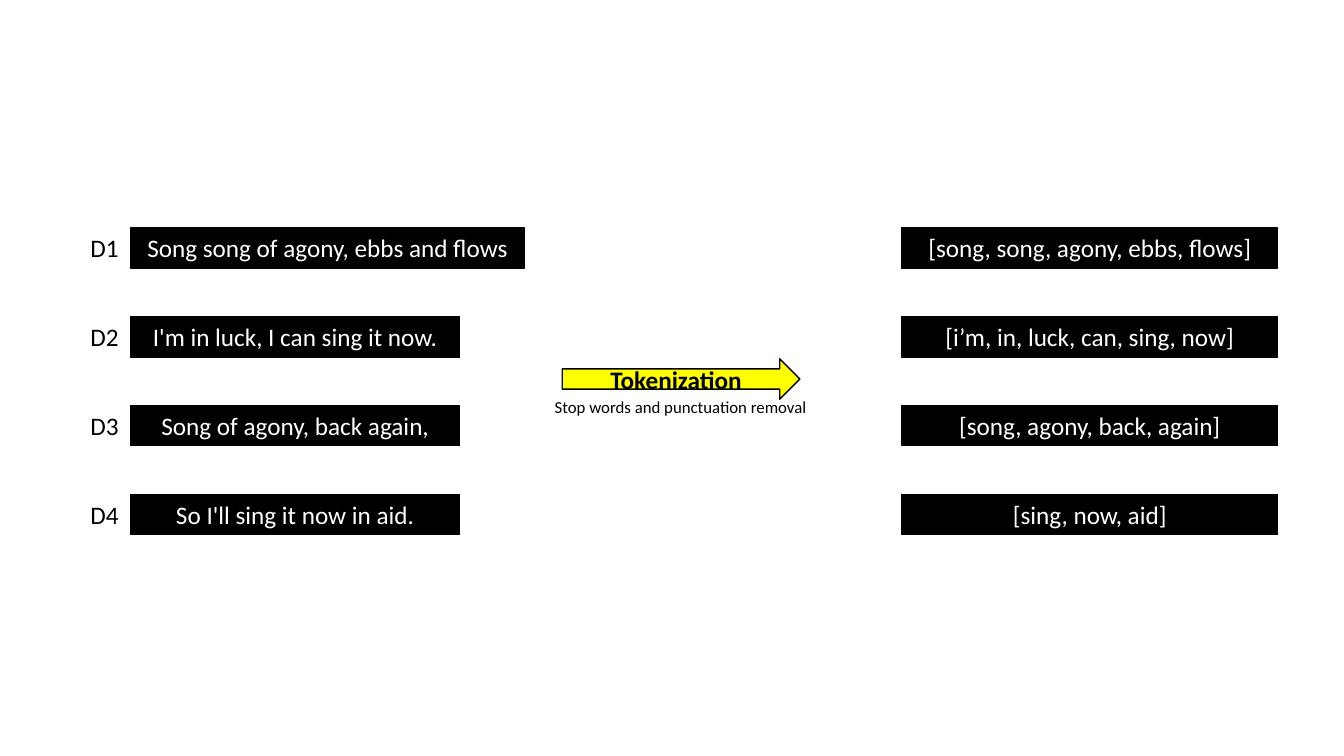
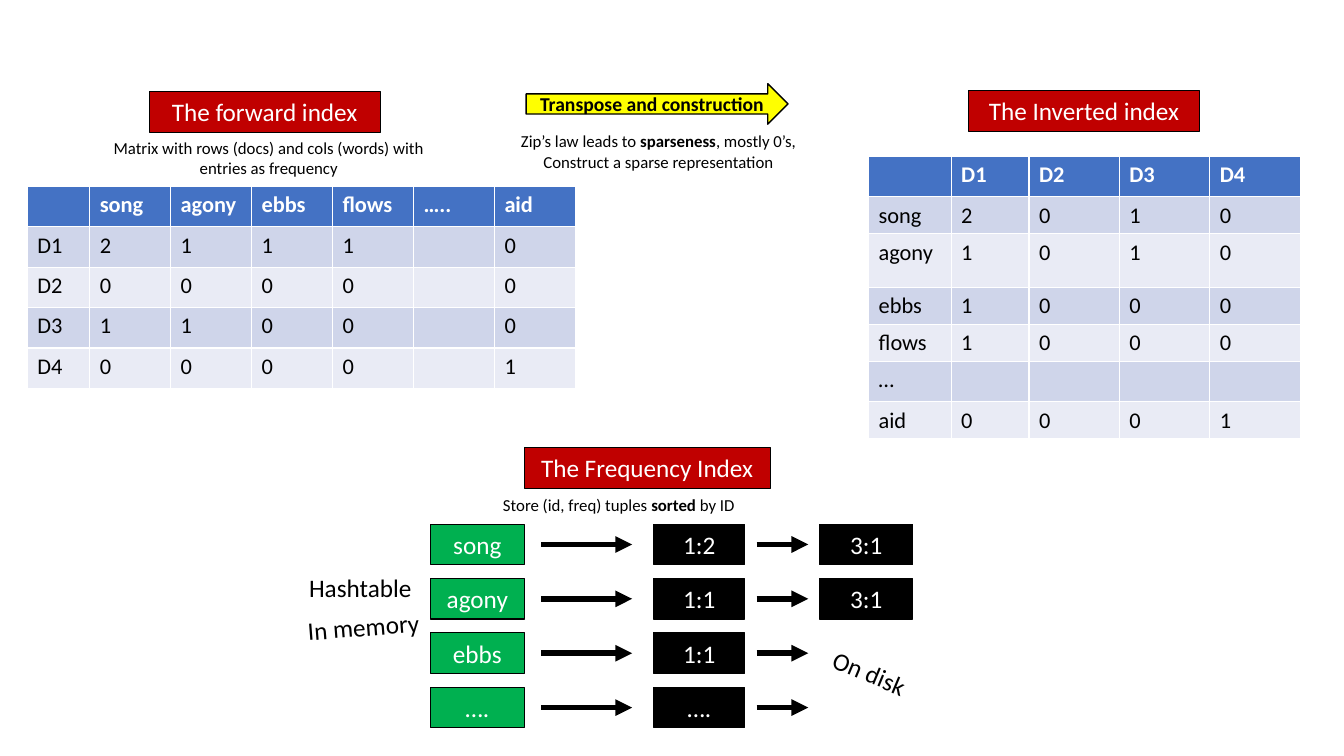
from pptx import Presentation
from pptx.dml.color import RGBColor
from pptx.enum.shapes import MSO_CONNECTOR, MSO_SHAPE
from pptx.enum.text import MSO_ANCHOR, MSO_AUTO_SIZE, PP_ALIGN
from pptx.oxml.ns import qn
from pptx.util import Cm, Pt
from lxml import etree

RECTANGLE = MSO_SHAPE.RECTANGLE
RIGHT_ARROW = MSO_SHAPE.RIGHT_ARROW
STRAIGHT = MSO_CONNECTOR.STRAIGHT
TOP = MSO_ANCHOR.TOP
MIDDLE = MSO_ANCHOR.MIDDLE
LEFT = PP_ALIGN.LEFT
CENTER = PP_ALIGN.CENTER
FIT_SHAPE = MSO_AUTO_SIZE.SHAPE_TO_FIT_TEXT

FONT = "Calibri"
BOX_HEIGHT = 1.02
ROW_HEIGHT = 0.93
COLORS = {
    "black": "000000",
    "white": "FFFFFF",
    "heading": "C00000",
    "step": "FFFF00",
    "term": "00B050",
    "table_header": "4472C4",
    "odd_row": "CFD5EA",
    "even_row": "E9EBF5",
}

DOCUMENTS = [
    ("D1", "Song song of agony, ebbs and flows", 9.91, "[song, song, agony, ebbs, flows]"),
    ("D2", "I'm in luck, I can sing it now.", 8.28, "[i’m, in, luck, can, sing, now]"),
    ("D3", "Song of agony, back again,", 8.28, "[song, agony, back, again]"),
    ("D4", "So I'll sing it now in aid.", 8.28, "[sing, now, aid]"),
]
FORWARD_ROWS = [
    ["", "song", "agony", "ebbs", "flows", "…..", "aid"],
    ["D1", "2", "1", "1", "1", "", "0"],
    ["D2", "0", "0", "0", "0", "", "0"],
    ["D3", "1", "1", "0", "0", "", "0"],
    ["D4", "0", "0", "0", "0", "", "1"],
]
INVERTED_ROWS = [
    ["", "D1", "D2", "D3", "D4"],
    ["song", "2", "0", "1", "0"],
    ["agony", "1", "0", "1", "0"],
    ["ebbs", "1", "0", "0", "0"],
    ["flows", "1", "0", "0", "0"],
    ["…", "", "", "", ""],
    ["aid", "0", "0", "0", "1"],
]
POSTINGS = [("song", "1:2", "3:1"), ("agony", "1:1", "3:1"), ("ebbs", "1:1", ""), ("….", "….", "")]


def color(name):
    return RGBColor.from_string(COLORS[name])


def write_text(frame, text, size=18, font_color="black", bold=False, align=LEFT):
    frame.word_wrap = True
    for line_index, line in enumerate(text.split("\n")):
        paragraph = frame.add_paragraph() if line_index else frame.paragraphs[0]
        paragraph.alignment = align
        for run_index, piece in enumerate(line.split("*")):
            run = paragraph.add_run()
            run.text = piece
            run.font.name = FONT
            run.font.size = Pt(size)
            run.font.bold = bold or run_index % 2 == 1
            run.font.color.rgb = color(font_color)


def add_label(slide, text, left, top, width, height=BOX_HEIGHT, rotation=0, **text_format):
    label = slide.shapes.add_textbox(Cm(left), Cm(top), Cm(width), Cm(height))
    label.rotation = rotation
    write_text(label.text_frame, text, **text_format)
    label.text_frame.auto_size = FIT_SHAPE


def add_note(slide, text, left, top, width, height):
    add_label(slide, text, left, top, width, height, size=12, align=CENTER)


def add_filled_shape(slide, kind, text, left, top, width, fill, line_width, **text_format):
    shape = slide.shapes.add_shape(kind, Cm(left), Cm(top), Cm(width), Cm(BOX_HEIGHT))
    shape.shadow.inherit = False
    shape.fill.solid()
    shape.fill.fore_color.rgb = color(fill)
    shape.line.color.rgb = color("black")
    shape.line.width = Pt(line_width)
    write_text(shape.text_frame, text, align=CENTER, **text_format)
    return shape


def add_box(slide, text, left, top, width, fill="black"):
    box = add_filled_shape(slide, RECTANGLE, text, left, top, width, fill, 0.75, font_color="white")
    box.text_frame.vertical_anchor = TOP
    box.text_frame.auto_size = FIT_SHAPE


def add_step(slide, text, left, top, width, size):
    step = add_filled_shape(slide, RIGHT_ARROW, text, left, top, width, "step", 1, size=size, bold=True)
    step.text_frame.vertical_anchor = MIDDLE


def add_arrow(slide, start, end, height):
    arrow = slide.shapes.add_connector(STRAIGHT, Cm(start), Cm(height), Cm(end), Cm(height))
    arrow.line.color.rgb = color("black")
    arrow.line.width = Pt(4)
    etree.SubElement(arrow.line._get_or_add_ln(), qn("a:tailEnd"), type="triangle")
    etree.SubElement(arrow._element.spPr, qn("a:effectLst"))


def add_index_table(slide, rows, left, top, widths, heights):
    frame = slide.shapes.add_table(
        len(rows), len(widths), Cm(left), Cm(top), Cm(sum(widths)), Cm(sum(heights))
    )
    table = frame.table
    for column, width in zip(table.columns, widths):
        column.width = Cm(width)
    for row_index, (values, height) in enumerate(zip(rows, heights)):
        table.rows[row_index].height = Cm(height)
        is_header = row_index == 0
        fill = "table_header" if is_header else ("even_row", "odd_row")[row_index % 2]
        for column_index, value in enumerate(values):
            cell = table.cell(row_index, column_index)
            cell.fill.solid()
            cell.fill.fore_color.rgb = color(fill)
            write_text(
                cell.text_frame, value, size=16, bold=is_header,
                font_color="white" if is_header else "black",
            )


def add_documents(slide, left, top, pitch):
    for index, (name, sentence, width, tokens) in enumerate(DOCUMENTS):
        row_top = top + index * pitch
        add_label(slide, name, left, row_top, 1.3)
        add_box(slide, sentence, left + 1.27, row_top, width)
        add_box(slide, tokens, left + 20.7, row_top, 9.47)


def add_forward_index(slide, left, top):
    add_box(slide, "The forward index", left + 3.07, top, 5.82, "heading")
    note = "Matrix with rows (docs) and cols (words) with\nentries as frequency"
    add_note(slide, note, left + 1.49, top + 1.04, 9.19, 1.27)
    heights = [ROW_HEIGHT] * len(FORWARD_ROWS)
    add_index_table(slide, FORWARD_ROWS, left, top + 2.39, [1.57] + [2.04] * 6, heights)


def add_inverted_index(slide, left, top):
    add_box(slide, "The Inverted index", left + 2.52, top, 5.82, "heading")
    heights = [ROW_HEIGHT] * len(INVERTED_ROWS)
    heights[2] = 1.35
    add_index_table(slide, INVERTED_ROWS, left, top + 1.65, [2.08, 1.96] + [2.28] * 3, heights)


def add_frequency_index(slide, left, top, pitch):
    add_box(slide, "The Frequency Index", left + 5.71, top, 6.2, "heading")
    add_note(slide, "Store (id, freq) tuples *sorted* by ID", left + 3.88, top + 1.06, 8.43, 0.76)
    for index, (term, first, second) in enumerate(POSTINGS):
        row_top = top + 1.93 + index * pitch
        row_middle = row_top + BOX_HEIGHT / 2
        add_box(slide, term, left + 3.35, row_top, 2.36, "term")
        add_arrow(slide, left + 6.14, left + 8.43, row_middle)
        add_box(slide, first, left + 8.98, row_top, 2.29)
        add_arrow(slide, left + 11.57, left + 12.87, row_middle)
        if second:
            add_box(slide, second, left + 13.15, row_top, 2.36)
    add_label(slide, "Hashtable", left + 0.04, top + 3.02, 3.51)
    add_label(slide, "In memory", left, top + 3.99, 3.58, rotation=355.6)
    add_label(slide, "On disk", left + 13.2, top + 5.2, 2.62, rotation=22.8)


def build_tokenization(slide):
    add_documents(slide, 2.03, 5.74, 2.24)
    add_step(slide, "Tokenization", 14.17, 9.04, 5.99, 18)
    add_note(slide, "Stop words and punctuation removal", 12.52, 9.88, 9.27, 0.76)


def build_indexes(slide):
    add_forward_index(slide, 0.69, 2.31)
    add_step(slide, "Transpose and construction", 13.26, 2.11, 6.6, 14)
    note = "Zip’s law leads to *sparseness*, mostly 0’s,\nConstruct a sparse representation"
    add_note(slide, note, 11.96, 3.18, 9.27, 1.27)
    add_inverted_index(slide, 21.89, 2.29)
    add_frequency_index(slide, 7.5, 11.28, 1.37)


def main():
    presentation = Presentation()
    presentation.slide_width = Cm(33.87)
    presentation.slide_height = Cm(19.05)
    for build in (build_tokenization, build_indexes):
        build(presentation.slides.add_slide(presentation.slide_layouts[6]))
    presentation.save("out.pptx")


if __name__ == "__main__":
    main()
